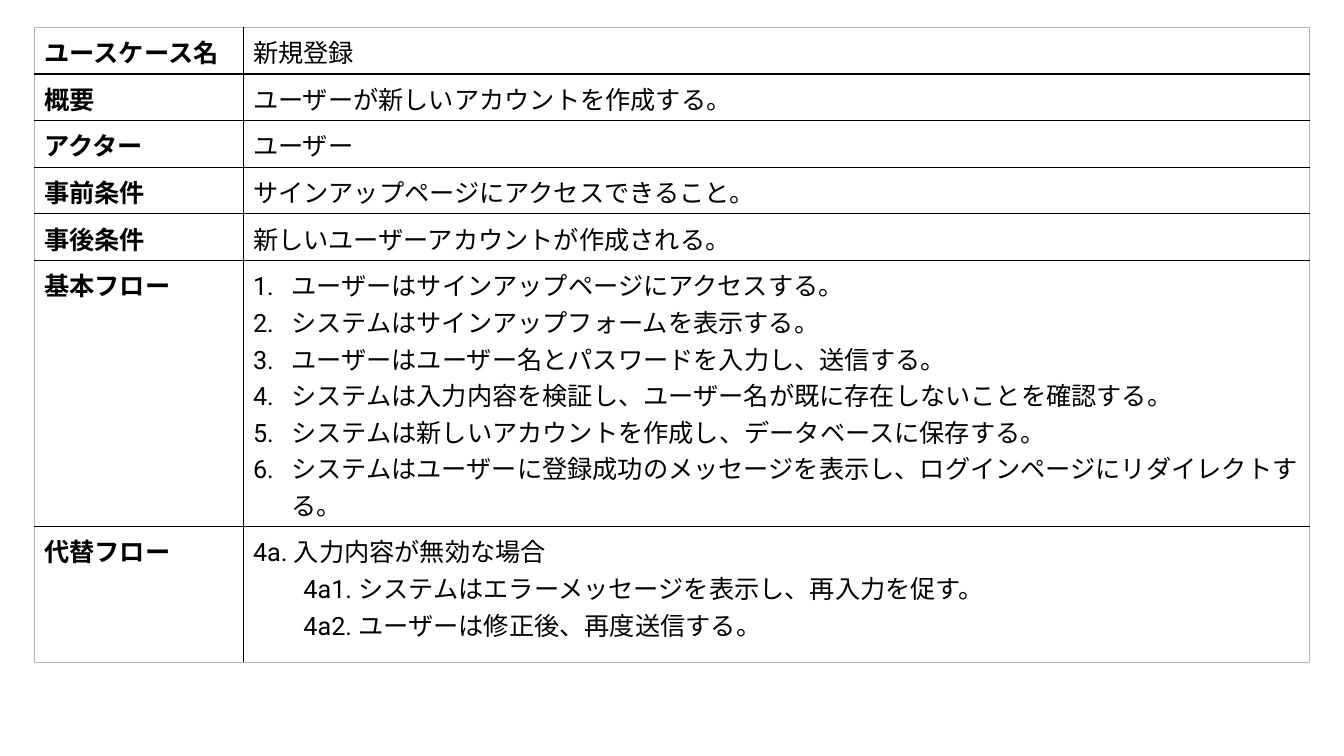
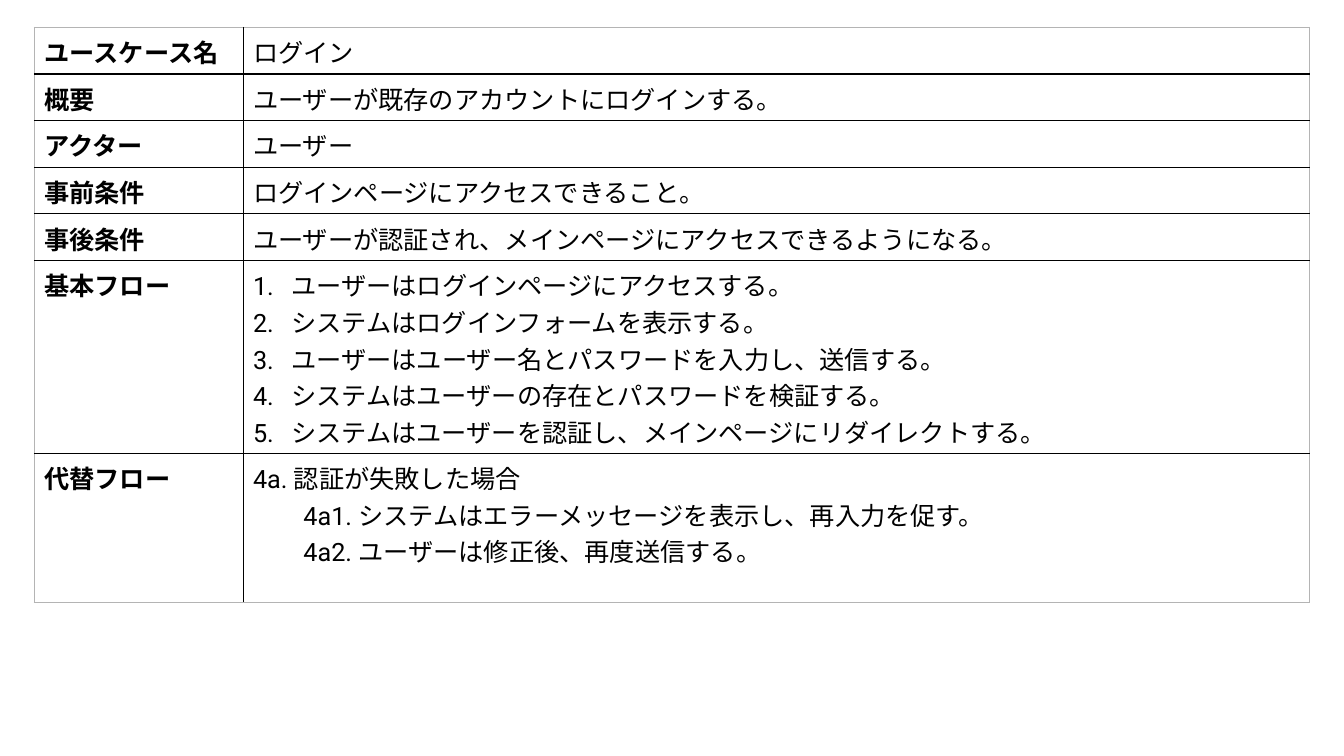
import pptx
import pptx.dml.color
import pptx.enum.text
import pptx.oxml.ns
import pptx.util
from lxml import etree

Inches = pptx.util.Inches
Pt = pptx.util.Pt
qn = pptx.oxml.ns.qn

# Shared look
BLACK = pptx.dml.color.RGBColor(0x00, 0x00, 0x00)
EDGE_GRAY = pptx.dml.color.RGBColor(0xB4, 0xB4, 0xB4)
FONT = "Roboto"
TEXT_SIZE = 18
LINE_PITCH = 26.1
OUTER_LINE, INNER_LINE, HEADER_LINE = 0.5, 0.75, 1.25

# Table geometry in inches: left, top, width
TABLE_BOX = (0.34, 0.27, 12.65)
LABEL_WIDTH = 2.07
ROW_HEIGHT = 0.46
NUMBER_INDENT = 0.38
STEP_INDENT = 0.5

LABELS = ["ユースケース名", "概要", "アクター", "事前条件", "事後条件",
          "基本フロー", "代替フロー"]
RETRY_STEPS = ["4a1. システムはエラーメッセージを表示し、再入力を促す。",
               "4a2. ユーザーは修正後、再度送信する。"]

USE_CASES = [
    {
        "summary": ["新規登録", "ユーザーが新しいアカウントを作成する。", "ユーザー",
                    "サインアップページにアクセスできること。",
                    "新しいユーザーアカウントが作成される。"],
        "basic_flow": [
            "ユーザーはサインアップページにアクセスする。",
            "システムはサインアップフォームを表示する。",
            "ユーザーはユーザー名とパスワードを入力し、送信する。",
            "システムは入力内容を検証し、ユーザー名が既に存在しないことを確認する。",
            "システムは新しいアカウントを作成し、データベースに保存する。",
            "システムはユーザーに登録成功のメッセージを表示し、"
            "ログインページにリダイレクトする。"],
        "exception": "4a. 入力内容が無効な場合",
        "flow_heights": [2.63, 1.35],
    },
    {
        "summary": ["ログイン", "ユーザーが既存のアカウントにログインする。", "ユーザー",
                    "ログインページにアクセスできること。",
                    "ユーザーが認証され、メインページにアクセスできるようになる。"],
        "basic_flow": [
            "ユーザーはログインページにアクセスする。",
            "システムはログインフォームを表示する。",
            "ユーザーはユーザー名とパスワードを入力し、送信する。",
            "システムはユーザーの存在とパスワードを検証する。",
            "システムはユーザーを認証し、メインページにリダイレクトする。"],
        "exception": "4a. 認証が失敗した場合",
        "flow_heights": [1.91, 1.48],
    },
]


def write_text(paragraph, text, bold=False, numbered=False, level=0):
    """Write one formatted line, optionally numbered or indented."""
    run = paragraph.add_run()
    run.text = text
    run.font.name = FONT
    run.font.size = Pt(TEXT_SIZE)
    run.font.bold = bold
    run.font.color.rgb = BLACK
    run_props = run.font._element
    run_props.set("lang", "ja-JP")
    east_asian = etree.Element(qn("a:ea"), typeface=FONT)
    run_props.find(qn("a:latin")).addnext(east_asian)

    paragraph.level = level
    paragraph.line_spacing = Pt(LINE_PITCH)
    props = paragraph._p.get_or_add_pPr()
    if numbered:
        props.set("marL", str(Inches(NUMBER_INDENT)))
        props.set("indent", str(-Inches(NUMBER_INDENT)))
        etree.SubElement(props, qn("a:buAutoNum"), type="arabicPeriod")
    elif level:
        props.set("marL", str(Inches(STEP_INDENT)))
        props.set("indent", "0")


def write_cell(cell, lines):
    """Fill a cell with (text, format) lines."""
    cell.fill.background()
    cell.vertical_anchor = pptx.enum.text.MSO_ANCHOR.TOP
    cell.margin_left = cell.margin_right = Inches(0.1)
    cell.margin_top = cell.margin_bottom = Inches(0.05)
    frame = cell.text_frame
    for index, (text, style) in enumerate(lines):
        paragraph = frame.add_paragraph() if index else frame.paragraphs[0]
        write_text(paragraph, text, **style)


def set_borders(cell, borders):
    """Draw borders given as {side: (width, colour)}, sides in L, R, T, B order."""
    props = cell._tc.get_or_add_tcPr()
    for position, (side, (width, color)) in enumerate(borders.items()):
        line = etree.Element(qn("a:ln" + side), w=str(Pt(width)))
        fill = etree.SubElement(line, qn("a:solidFill"))
        etree.SubElement(fill, qn("a:srgbClr"), val=str(color))
        props.insert(position, line)


def rule_table(table):
    """Gray outer edge, black inner rules, heavier rule under the first row."""
    last_row, last_col = len(table.rows) - 1, len(table.columns) - 1
    outer, inner = (OUTER_LINE, EDGE_GRAY), (INNER_LINE, BLACK)
    header = (HEADER_LINE, BLACK)
    row_rules = [outer, header] + [inner] * (last_row - 1) + [outer]
    for row in range(last_row + 1):
        for col in range(last_col + 1):
            set_borders(table.cell(row, col), {
                "L": inner if col else outer,
                "R": inner if col < last_col else outer,
                "T": row_rules[row],
                "B": row_rules[row + 1],
            })


def add_use_case_table(slide, box, use_case):
    """Place the label column and the description column inside the box."""
    left, top, width = box
    heights = [ROW_HEIGHT] * len(use_case["summary"]) + use_case["flow_heights"]
    table = slide.shapes.add_table(
        len(LABELS), 2, Inches(left), Inches(top),
        Inches(width), Inches(sum(heights))).table
    table.first_row = table.horz_banding = False
    table.columns[0].width = Inches(LABEL_WIDTH)
    table.columns[1].width = Inches(width - LABEL_WIDTH)

    # Single-line facts, numbered main flow, then the exception with its steps
    descriptions = [[(text, {})] for text in use_case["summary"]]
    descriptions.append([(step, {"numbered": True})
                         for step in use_case["basic_flow"]])
    descriptions.append([(use_case["exception"], {})]
                        + [(step, {"level": 1}) for step in RETRY_STEPS])

    rows = zip(LABELS, descriptions, heights)
    for index, (label, description, height) in enumerate(rows):
        table.rows[index].height = Inches(height)
        write_cell(table.cell(index, 0), [(label, {"bold": True})])
        write_cell(table.cell(index, 1), description)
    rule_table(table)


def main():
    deck = pptx.Presentation()
    deck.slide_width = Inches(13.33)
    deck.slide_height = Inches(7.5)
    blank_layout = deck.slide_layouts[6]
    for use_case in USE_CASES:
        slide = deck.slides.add_slide(blank_layout)
        add_use_case_table(slide, TABLE_BOX, use_case)
    deck.save("out.pptx")


if __name__ == "__main__":
    main()
